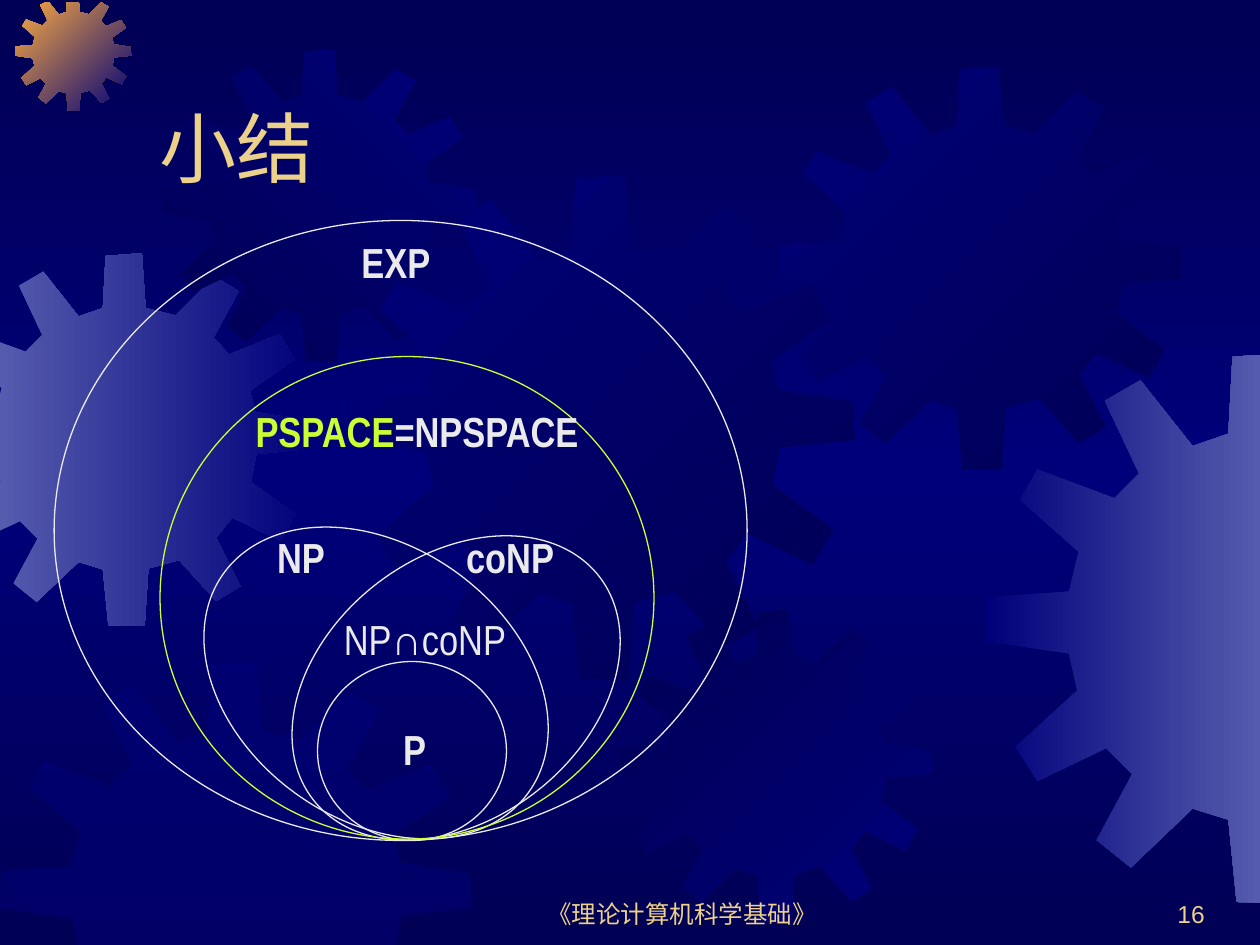
from copy import deepcopy

from lxml.etree import SubElement
from pptx import Presentation
from pptx.dml.color import RGBColor
from pptx.enum.shapes import MSO_SHAPE as Shape
from pptx.enum.text import MSO_ANCHOR as Anchor, PP_ALIGN as Align
from pptx.oxml.ns import qn
from pptx.util import Inches, Pt

COLORS = {
    "night": "000054",
    "navy": "00007A",
    "steel": "555BAD",
    "orange": "FCAB40",
    "gold": "EBD189",
    "white": "EAEAEA",
    "lime": "CCFF33",
}
WIDTH, HEIGHT = 10, 7.5
GEAR_TOP_EDGE = 0.02

GEAR_SPAN = 401
GEAR_OUTLINE = [
    (255, 67), (223, 59), (219, 0), (180, 3), (177, 59), (151, 68), (113, 20), (87, 35),
    (112, 88), (94, 106), (38, 85), (25, 107), (68, 145), (61, 174), (1, 178), (0, 210),
    (61, 219), (67, 246), (22, 287), (38, 312), (88, 288), (107, 307), (81, 355), (106, 375),
    (151, 332), (177, 340), (183, 400), (222, 401), (226, 339), (259, 330), (299, 374), (325, 358),
    (299, 306), (316, 284), (368, 309), (384, 281), (336, 246), (342, 216), (401, 210), (400, 180),
    (341, 171), (335, 148), (383, 114), (367, 87), (313, 109), (296, 91), (323, 41), (297, 25),
]
# left, top, size, gradient colours, clockwise angle
GEARS = [
    (-0.49, 2.01, 2.96, ("steel", "navy"), 0),
    (0.12, -0.04, 0.92, ("orange", "navy"), 45),
    (1.3, 0.39, 2.48, ("night", "navy"), 315),
    (2.77, 1.39, 4.01, ("navy", "night"), 45),
    (0, 5.25, 3.74, ("navy",), 0),
    (4.91, 4.84, 2.48, ("night", "navy"), 45),
    (6.18, 0.53, 3.2, ("navy", "night"), 45),
    (7.82, 2.8, 4.37, ("navy", "steel"), 0),
]
CLASSES = [
    ((1.9, 3.93, 2.17, 2.98), 305.6, "white"),
    ((2.58, 4.02, 2.08, 2.88), 51.9, "white"),
    ((2.52, 5.25, 1.5, 1.42), 0, "white"),
    ((0.43, 1.75, 5.5, 4.92), 0, "white"),
    ((1.27, 2.83, 3.92, 3.83), 0, "lime"),
]
NARROW = "Arial Narrow"
LABELS = [
    ((3.1, 5.69, 0.58), True, [("P", "white", NARROW)]),
    ((2.1, 4.17, 0.75), True, [("NP", "white", NARROW)]),
    ((3.6, 4.17, 1.08), True, [("coNP", "white", NARROW)]),
    ((2.63, 4.82, 1.58), False,
     [("NP", "white", NARROW), ("∩", "white", "Arial"), ("coNP", "white", NARROW)]),
    ((2.77, 1.83, 0.75), True, [("EXP", "white", NARROW)]),
    ((1.93, 3.17, 3), True, [("PSPACE", "lime", NARROW), ("=NPSPACE", "white", NARROW)]),
]
HEADINGS = [
    ("《理论计算机科学基础》", (3.83, 6.92, 3.17, 0.5), 14, Align.CENTER),
    ("16", (7.58, 6.92, 2.08, 0.5), 14, Align.RIGHT),
    ("小结", (1.17, 0.33, 8.5, 1.25), 44, Align.LEFT),
]


def rgb(name):
    return RGBColor.from_string(COLORS[name])


def inches(box):
    return [Inches(value) for value in box]


def clip(points, axis, limit, sign):
    kept = []
    for start, end in zip(points[-1:] + points[:-1], points):
        start_in = sign * (start[axis] - limit) >= 0
        end_in = sign * (end[axis] - limit) >= 0
        if start_in != end_in:
            share = (limit - start[axis]) / (end[axis] - start[axis])
            kept.append(tuple(a + share * (b - a) for a, b in zip(start, end)))
        if end_in:
            kept.append(end)
    return kept


def paint_gradient(fill, names, angle):
    fill.gradient()
    fill.gradient_angle = -angle % 360
    for stop, name in zip(fill.gradient_stops, names):
        stop.color.rgb = rgb(name)


def add_gear(slide, left, top, size, names, angle):
    scale = size / GEAR_SPAN
    points = [(left + x * scale, top + y * scale) for x, y in GEAR_OUTLINE]
    for edge in ((0, 0, 1), (0, WIDTH, -1), (1, GEAR_TOP_EDGE, 1), (1, HEIGHT, -1)):
        points = clip(points, *edge)
    corners = [inches(point) for point in points]
    builder = slide.shapes.build_freeform(*corners[0], scale=1.0)
    builder.add_line_segments(corners[1:], close=True)
    gear = builder.convert_to_shape()
    gear.shadow.inherit = False
    gear.line.fill.background()
    if len(names) == 2:
        paint_gradient(gear.fill, names, angle)
    else:
        gear.fill.solid()
        gear.fill.fore_color.rgb = rgb(names[0])
        color = gear._element.spPr.find(".//" + qn("a:srgbClr"))
        SubElement(color, qn("a:alpha"), val="50000")


def add_text(slide, box, size, runs, bold=False, align=Align.LEFT, anchor=Anchor.TOP):
    frame = slide.shapes.add_textbox(*inches(box)).text_frame
    frame.word_wrap = True
    frame.vertical_anchor = anchor
    line = frame.paragraphs[0]
    line.alignment = align
    line.font.size = Pt(size)
    line.font.bold = bold
    for text, color, face in runs:
        run = line.add_run()
        run.text = text
        run.font.name = face
        run.font.color.rgb = rgb(color)


def main():
    deck = Presentation()
    deck.slide_width, deck.slide_height = Inches(WIDTH), Inches(HEIGHT)
    slide = deck.slides.add_slide(deck.slide_layouts[6])

    paint_gradient(slide.background.fill, ("night", "navy"), 90)
    stops = slide._element.find(".//" + qn("a:gsLst"))
    stops.append(deepcopy(stops[0]))
    for stop, position in zip(stops, ("0", "50000", "100000")):
        stop.set("pos", position)

    for gear in GEARS:
        add_gear(slide, *gear)
    for text, box, size, align in HEADINGS:
        add_text(slide, box, size, [(text, "gold", "Arial")], align=align, anchor=Anchor.BOTTOM)
    for box, rotation, color in CLASSES:
        ellipse = slide.shapes.add_shape(Shape.OVAL, *inches(box))
        ellipse.rotation = rotation
        ellipse.shadow.inherit = False
        ellipse.fill.background()
        ellipse.line.color.rgb = rgb(color)
        ellipse.line.width = Pt(0.75)
    for place, bold, runs in LABELS:
        add_text(slide, (*place, 0.5), 24, runs, bold)

    deck.save("out.pptx")


if __name__ == "__main__":
    main()
